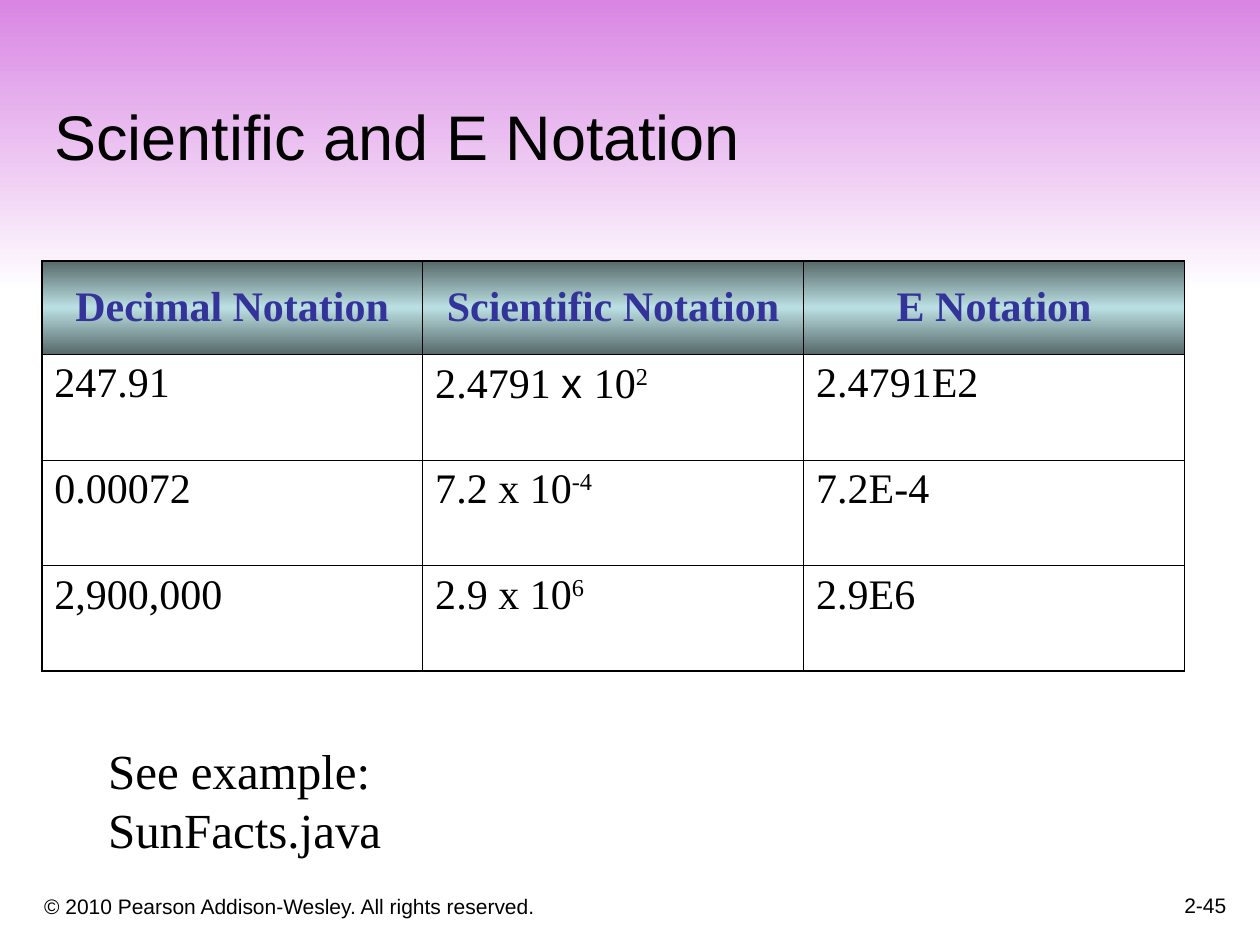
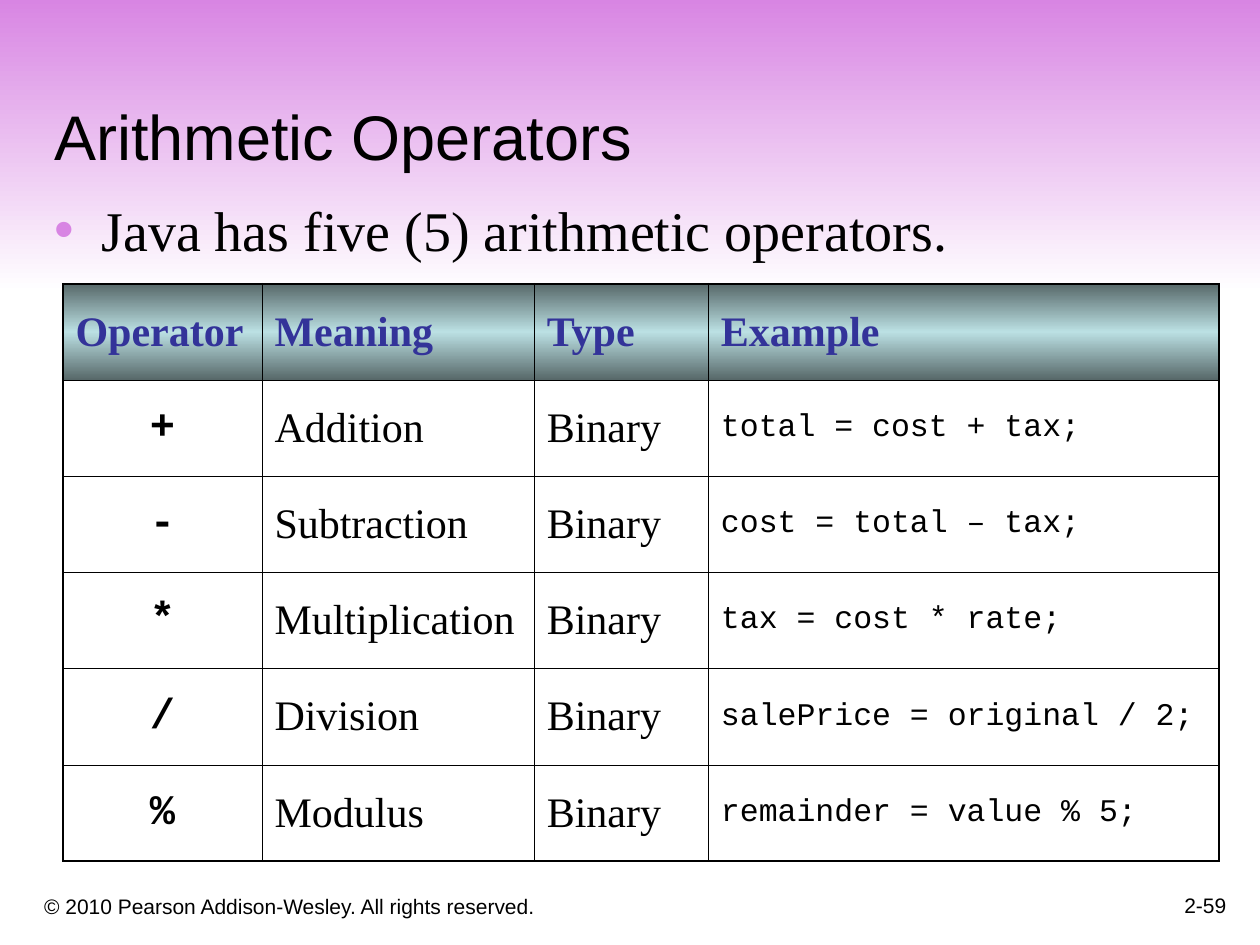
from dataclasses import dataclass

from lxml.etree import SubElement
from pptx import Presentation
from pptx.dml.color import RGBColor
from pptx.enum.shapes import MSO_SHAPE
from pptx.enum.text import MSO_ANCHOR, MSO_AUTO_SIZE, PP_ALIGN
from pptx.oxml.ns import qn
from pptx.util import Cm, Pt


@dataclass(frozen=True)
class Theme:
    # Colours
    ink: str = "000000"
    heading: str = "333399"
    orchid: str = "D885E3"
    paper: str = "FFFFFF"
    header_edge: str = "576869"
    header_middle: str = "BBE0E3"
    # Fonts
    sans: str = "Arial"
    serif: str = "Times New Roman"
    mono: str = "Courier New"
    # Type sizes
    title_size: int = 36
    list_size: int = 32
    note_size: int = 28
    table_size: int = 24
    code_size: int = 18
    footer_size: int = 12
    # Table lines
    outer_line: float = 1.08
    inner_line: float = 0.45


THEME = Theme()
TITLE_AND_LIST, TITLE_ONLY = 1, 5
COPYRIGHT = "© 2010 Pearson Addison-Wesley. All rights reserved."


def apply(target, values):
    for name, value in values.items():
        setattr(target, name, value)


def place(shape, left, top, width, height):
    apply(shape, dict(left=Cm(left), top=Cm(top), width=Cm(width), height=Cm(height)))


def add_solid_colour(parent, colour):
    SubElement(SubElement(parent, qn("a:solidFill")), qn("a:srgbClr"), val=colour)


def fill_gradient(fill, element, colours):
    """Spread the colours evenly from top to bottom."""
    fill.gradient()
    fill.gradient_angle = 270
    stops = element.find(".//" + qn("a:gsLst"))
    for stop in list(stops):
        stops.remove(stop)
    for index, colour in enumerate(colours):
        position = 100000 * index // (len(colours) - 1)
        stop = SubElement(stops, qn("a:gs"), pos=str(position))
        SubElement(stop, qn("a:srgbClr"), val=colour)


class SlideBuilder:
    def __init__(self, deck, theme):
        self.deck = deck
        self.theme = theme
        self.page = None

    def set_text(self, para, text, font, size, colour=None, bold=False, align=PP_ALIGN.LEFT):
        """Set a string, or a list of (text, changes) spans."""
        apply(para, dict(alignment=align, space_before=Pt(0)))
        spans = [(text, {})] if isinstance(text, str) else text
        for words, changes in spans:
            span = para.add_run()
            span.text = words
            apply(span.font, dict(name=changes.get("font", font), size=Pt(size), bold=bold))
            span.font.color.rgb = RGBColor.from_string(colour or self.theme.ink)
            if changes.get("raised"):
                span._r.get_or_add_rPr().set("baseline", "30000")

    # Master parts
    def share(self, shape, index):
        """Move a shape to the slide master, so every slide shows it."""
        tree = self.deck.slide_master.shapes._spTree
        highest = max(int(item.get("id")) for item in tree.iter(qn("p:cNvPr")))
        shape.element.nvSpPr.cNvPr.set("id", str(highest + 1))
        tree.insert(index, shape.element)

    def shared_parts(self):
        band = self.page.shapes.add_shape(
            MSO_SHAPE.RECTANGLE, Cm(0), Cm(-0.02), Cm(25.4), Cm(5.92))
        band.shadow.inherit = False
        band.line.fill.background()
        fill_gradient(band.fill, band.element, [self.theme.orchid, self.theme.paper])
        self.share(band, 2)
        self.share(self.footer(COPYRIGHT, 0.64, 17.58, 15.44, 1.06), 3)

    # Slide parts
    def new_page(self, layout, title, number):
        first = self.page is None
        self.page = self.deck.slides.add_slide(self.deck.slide_layouts[layout])
        if first:
            self.shared_parts()
        self.title(title)
        self.footer(number, 19.69, 17.35, 5.28, 1.27, PP_ALIGN.RIGHT)

    def title(self, text):
        box = self.page.shapes.title
        place(box, 0.84, 0.84, 23.92, 2.77)
        apply(box.text_frame, dict(vertical_anchor=MSO_ANCHOR.BOTTOM,
                                   auto_size=MSO_AUTO_SIZE.NONE, word_wrap=True))
        self.set_text(box.text_frame.paragraphs[0], text, self.theme.sans, self.theme.title_size)

    def bullet(self, text):
        box = self.page.placeholders[1]
        place(box, 0.84, 3.81, 23.04, 12.7)
        apply(box.text_frame, dict(margin_right=0, auto_size=MSO_AUTO_SIZE.NONE,
                                   vertical_anchor=MSO_ANCHOR.TOP))
        para = box.text_frame.paragraphs[0]
        properties = para._p.get_or_add_pPr()
        properties.set("marL", str(Cm(0.95)))
        properties.set("indent", str(Cm(-0.95)))
        colour = SubElement(properties, qn("a:buClr"))
        SubElement(colour, qn("a:srgbClr"), val=self.theme.orchid)
        SubElement(properties, qn("a:buChar"), char="•")
        self.set_text(para, text, self.theme.serif, self.theme.list_size)

    def text_box(self, text, left, top, width, height, frame_format, **style):
        box = self.page.shapes.add_textbox(Cm(left), Cm(top), Cm(width), Cm(height))
        apply(box.text_frame, frame_format)
        self.set_text(box.text_frame.paragraphs[0], text, **style)
        return box

    def footer(self, text, left, top, width, height, align=PP_ALIGN.LEFT):
        return self.text_box(
            text, left, top, width, height,
            dict(word_wrap=True, vertical_anchor=MSO_ANCHOR.BOTTOM),
            font=self.theme.sans, size=self.theme.footer_size, align=align)

    def note(self, text, left, top, width, height):
        self.text_box(
            text, left, top, width, height,
            dict(word_wrap=False, auto_size=MSO_AUTO_SIZE.SHAPE_TO_FIT_TEXT),
            font=self.theme.serif, size=self.theme.note_size)

    def borders(self, cell, outer_sides):
        properties = cell._tc.get_or_add_tcPr()
        for side, is_outer in outer_sides.items():
            width = self.theme.outer_line if is_outer else self.theme.inner_line
            line = SubElement(properties, qn("a:ln" + side), w=str(Pt(width)))
            add_solid_colour(line, self.theme.ink)

    def table(self, left, top, widths, heights, rows, header_align, body_anchor, styles):
        """Draw a table; styles holds one body text style per column."""
        theme = self.theme
        frame = self.page.shapes.add_table(
            len(rows), len(widths), Cm(left), Cm(top), Cm(sum(widths)), Cm(sum(heights)))
        table = frame.table
        apply(table, dict(first_row=False, horz_banding=False))
        for column, width in zip(table.columns, widths):
            column.width = Cm(width)
        header_style = dict(font=theme.serif, size=theme.table_size,
                            colour=theme.heading, bold=True, align=header_align)
        last_row, last_column = len(rows) - 1, len(widths) - 1
        for r, texts in enumerate(rows):
            table.rows[r].height = Cm(heights[r])
            for c, text in enumerate(texts):
                cell = table.cell(r, c)
                self.borders(cell, {"L": c == 0, "R": c == last_column,
                                    "T": r == 0, "B": r == last_row})
                if r == 0:
                    cell.vertical_anchor = MSO_ANCHOR.MIDDLE
                    fill_gradient(cell.fill, cell._tc, [
                        theme.header_edge, theme.header_middle, theme.header_edge])
                else:
                    cell.vertical_anchor = body_anchor
                    cell.fill.background()
                self.set_text(cell.text_frame.paragraphs[0], text,
                              **(styles[c] if r else header_style))


def power(base, exponent):
    return [(base, {}), (exponent, {"raised": True})]


def notation_slide(builder, plain):
    builder.new_page(TITLE_ONLY, "Scientific and E Notation", "2-45")
    first_power = [("2.4791 ", {}), ("x ", {"font": THEME.sans}), *power("10", "2")]
    builder.table(
        0.84, 5.26, [7.68] * 3, [1.88] + [2.13] * 3,
        [["Decimal Notation", "Scientific Notation", "E Notation"],
         ["247.91", first_power, "2.4791E2"],
         ["0.00072", power("7.2 x 10", "-4"), "7.2E-4"],
         ["2,900,000", power("2.9 x 10", "6"), "2.9E6"]],
        PP_ALIGN.CENTER, MSO_ANCHOR.TOP, [plain] * 3)
    builder.note("See example: SunFacts.java", 1.93, 14.81, 11.53, 1.45)


def operators_slide(builder, plain):
    builder.new_page(TITLE_AND_LIST, "Arithmetic Operators", "2-59")
    builder.bullet("Java has five (5) arithmetic operators.")
    symbol = dict(font=THEME.mono, size=THEME.table_size, bold=True, align=PP_ALIGN.CENTER)
    code = dict(font=THEME.mono, size=THEME.code_size)
    operators = [
        ("+", "Addition", "total = cost + tax;"),
        ("-", "Subtraction", "cost = total – tax;"),
        ("*", "Multiplication", "tax = cost * rate;"),
        ("/", "Division", "salePrice = original / 2;"),
        ("%", "Modulus", "remainder = value % 5;"),
    ]
    rows = [["Operator", "Meaning", "Type", "Example"]]
    rows += [[sign, meaning, "Binary", example] for sign, meaning, example in operators]
    builder.table(1.27, 5.72, [4.01, 5.49, 3.51, 10.29], [1.94] * len(rows), rows,
                  PP_ALIGN.LEFT, MSO_ANCHOR.MIDDLE, [symbol, plain, plain, code])


def main():
    deck = Presentation()
    apply(deck, dict(slide_width=Cm(25.4), slide_height=Cm(19.05)))
    builder = SlideBuilder(deck, THEME)
    plain = dict(font=THEME.serif, size=THEME.table_size)
    notation_slide(builder, plain)
    operators_slide(builder, plain)
    deck.save("out.pptx")


if __name__ == "__main__":
    main()
